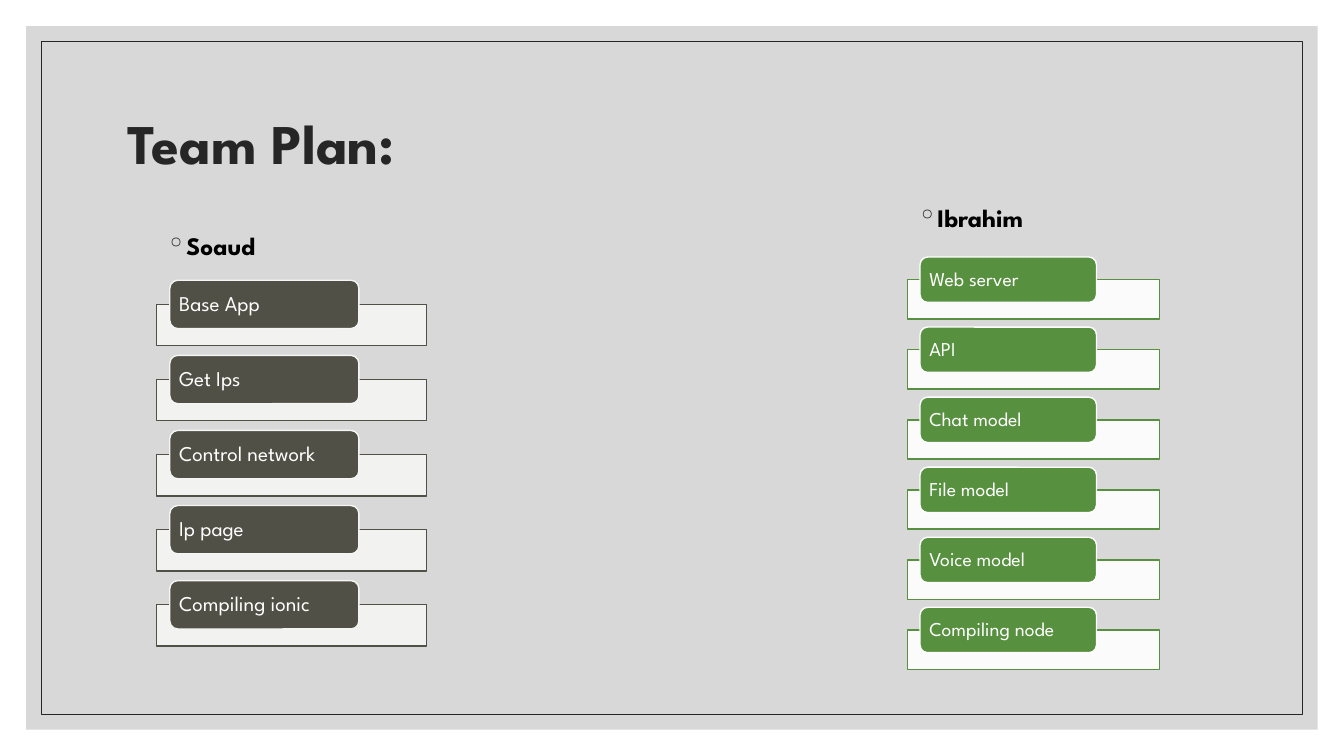
from pptx import Presentation
from pptx.dml.color import RGBColor
from pptx.enum.shapes import MSO_SHAPE
from pptx.enum.text import MSO_ANCHOR
from pptx.oxml.ns import qn
from pptx.util import Inches, Pt
from lxml import etree

RECT, ROUNDED = MSO_SHAPE.RECTANGLE, MSO_SHAPE.ROUNDED_RECTANGLE
MIDDLE = MSO_ANCHOR.MIDDLE
FONT = "League Spartan"
WHITE = RGBColor(0xFF, 0xFF, 0xFF)
BLACK = RGBColor(0, 0, 0)
INK = RGBColor(0x26, 0x26, 0x26)
GRAY = RGBColor(0xBF, 0xBF, 0xBF)
OLIVE = RGBColor(0x50, 0x50, 0x46)
PALE = RGBColor(0xF5, 0xF6, 0xF4)
GREEN = RGBColor(0x57, 0x90, 0x3F)

# Content, with each member's list geometry in inches
TITLE = "Team Plan:"
MEMBERS = [
    dict(name="Ibrahim", left=9, name_top=1.66, top=2.55, width=2.5, pitch=0.695,
         tab_height=0.45, bar_height=0.39, size=14, color=GREEN, light=WHITE,
         tasks=["Web server", "API", "Chat model", "File model", "Voice model",
                "Compiling node"]),
    dict(name="Soaud", left=1.55, name_top=1.94, top=2.78, width=2.68, pitch=0.745,
         tab_height=0.48, bar_height=0.41, size=15, color=OLIVE, light=PALE,
         tasks=["Base App", "Get Ips", "Control network", "Ip page",
                "Compiling ionic"]),
]
TAB_INDENT, TAB_SHARE = 0.05, 0.7  # shares of the bar width

deck = Presentation()
deck.slide_width, deck.slide_height = Inches(13.33), Inches(7.5)
page = deck.slides.add_slide(deck.slide_layouts[6])


def add_box(kind, left, top, width, height, fill=None, opacity=100, line=None, weight=1):
    box = page.shapes.add_shape(kind, *map(Inches, (left, top, width, height)))
    box.shadow.inherit = False
    if fill is None:
        box.fill.background()
    else:
        box.fill.solid()
        box.fill.fore_color.rgb = fill
        if opacity < 100:
            color = box.fill._xPr.find(qn("a:solidFill"))[0]
            etree.SubElement(color, qn("a:alpha"), val=str(opacity * 1000))
    if line is None:
        box.line.fill.background()
    else:
        box.line.color.rgb = line
        box.line.width = Pt(weight)
    return box


def add_text(left, top, width, height):
    box = page.shapes.add_textbox(*map(Inches, (left, top, width, height)))
    box.text_frame.word_wrap = True
    return box


def write(box, text, size, color, bold=False, spacing=0.9):
    para = box.text_frame.paragraphs[0]
    para.text = text
    para.line_spacing = spacing
    para.font.name, para.font.size, para.font.bold = FONT, Pt(size), bold
    para.font.color.rgb = color
    return para


def add_bullet(para, char, color, indent):
    props = para._p.get_or_add_pPr()
    props.set("marL", str(Inches(indent)))
    props.set("indent", str(-Inches(indent)))
    bullet_color = etree.Element(qn("a:buClr"))
    etree.SubElement(bullet_color, qn("a:srgbClr"), val=str(color))
    bullet = etree.Element(qn("a:buChar"), char=char)
    defaults = props.find(qn("a:defRPr"))
    defaults.addprevious(bullet_color)
    defaults.addprevious(bullet)


# Background panel and frame
for margin, style in ((0.26, dict(fill=GRAY, opacity=60)),
                      (0.41, dict(line=INK, weight=0.5))):
    add_box(RECT, margin, margin, 13.33 - 2 * margin, 7.5 - 2 * margin, **style)

# Title
title = add_text(1.17, 0.7, 11, 1.5)
title.text_frame.vertical_anchor = MIDDLE
write(title, TITLE, 40, INK, bold=True)

# Task lists: each tab sits centred on the top edge of its bar
for member in MEMBERS:
    left, width, tab_height = member["left"], member["width"], member["tab_height"]
    color, light = member["color"], member["light"]
    for row, task in enumerate(member["tasks"]):
        top = member["top"] + row * member["pitch"]
        add_box(RECT, left, top + tab_height / 2, width, member["bar_height"],
                fill=light, opacity=90, line=color)
        tab = add_box(ROUNDED, left + TAB_INDENT * width, top, TAB_SHARE * width,
                      tab_height, fill=color, line=light)
        frame = tab.text_frame
        frame.word_wrap = True
        frame.vertical_anchor = MIDDLE
        frame.margin_left = frame.margin_right = Inches(0.07)
        frame.margin_top = frame.margin_bottom = 0
        para = write(tab, task, member["size"], WHITE)
        para.alignment = 1

    heading = add_text(left, member["name_top"], 3.83, 0.82)
    para = write(heading, member["name"], 18, BLACK, bold=True, spacing=2.0)
    para.space_before = Pt(9)
    add_bullet(para, "\u25e6", INK, 0.2)

deck.save("out.pptx")
